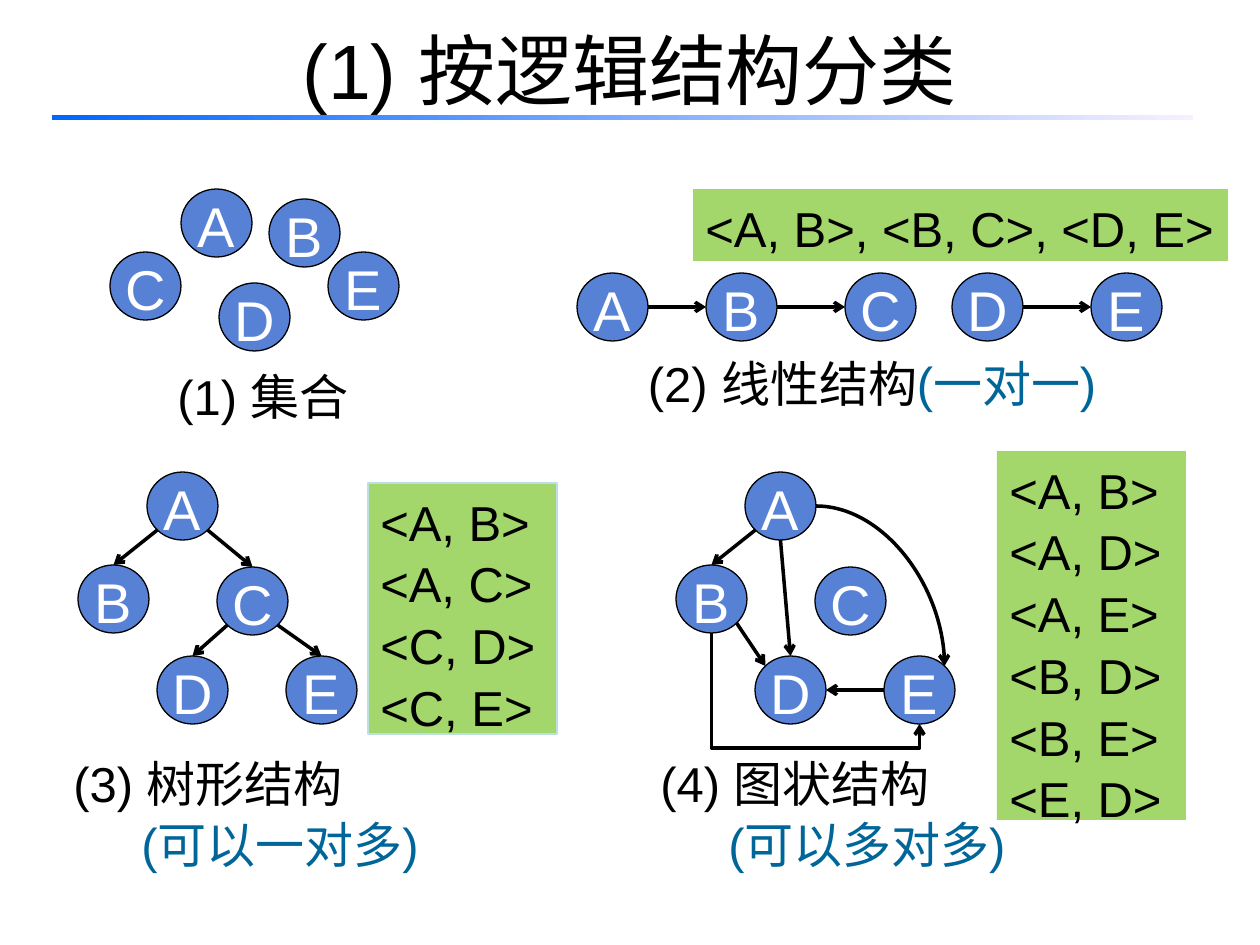
from math import sqrt

from lxml import etree
from pptx import Presentation
from pptx import util as u
from pptx.dml.color import RGBColor
from pptx.enum import shapes, text
from pptx.oxml.ns import qn

PX = 914400 / 126
FONT = "Arial"
COLORS = {
    "ink": "000000", "node": "5781D5", "letter": "FFFFFF", "note": "006699",
    "pairs": "A4D76B", "pairs_edge": "BBE0E3",
    "bar_start": "0066FF", "bar_end": "F7EFFF",
}
NODE_W, NODE_H = 71, 68
DIAGONAL = 1 / sqrt(2)
SIDES = {
    "n": (0, -1), "s": (0, 1), "w": (-1, 0), "e": (1, 0),
    "nw": (-DIAGONAL, -DIAGONAL), "ne": (DIAGONAL, -DIAGONAL),
    "sw": (-DIAGONAL, DIAGONAL), "se": (DIAGONAL, DIAGONAL),
}
# Shared by the tree and the graph, relative to the region's corner
BRANCHES = {"A": (69, 0), "B": (0, 93), "C": (139, 95), "D": (79, 184), "E": (208, 184)}


def px(*lengths):
    return [u.Emu(round(length * PX)) for length in lengths]


def color(name):
    return RGBColor.from_string(COLORS[name])


def write(para, spans, size, align=text.PP_ALIGN.LEFT, spacing=1.05):
    """Fill a paragraph with (wording, colour name) spans."""
    para.alignment = align
    para.line_spacing = spacing
    for wording, ink in spans:
        span = para.add_run()
        span.text = wording
        span.font.name = FONT
        span.font.size = u.Pt(size)
        span.font.color.rgb = color(ink)


def write_lines(frame, lines, align=text.PP_ALIGN.LEFT, indents=()):
    frame.word_wrap = True
    frame.vertical_anchor = text.MSO_ANCHOR.TOP
    for index, spans in enumerate(lines):
        para = frame.paragraphs[0] if index == 0 else frame.add_paragraph()
        if indents:
            properties = para._p.get_or_add_pPr()
            properties.set("marL", str(px(indents[index])[0]))
            properties.set("indent", "0")
        write(para, spans, 28, align)


def add_caption(page, box, lines, align=text.PP_ALIGN.LEFT, indents=()):
    caption = page.shapes.add_textbox(*px(*box))
    write_lines(caption.text_frame, lines, align, indents)


def add_pairs(page, box, pairs, edge=None):
    """Green panel listing the ordered pairs of a structure."""
    panel = page.shapes.add_shape(shapes.MSO_SHAPE.RECTANGLE, *px(*box))
    panel.shadow.inherit = False
    panel.fill.solid()
    panel.fill.fore_color.rgb = color("pairs")
    if edge:
        panel.line.color.rgb = color(edge)
        panel.line.width = u.Pt(0.75)
    else:
        panel.line.fill.background()
    write_lines(panel.text_frame, [[(pair, "ink")] for pair in pairs])


def add_nodes(page, left, top, places):
    nodes = {}
    for letter, (x, y) in places.items():
        node = page.shapes.add_shape(
            shapes.MSO_SHAPE.OVAL, *px(left + x, top + y, NODE_W, NODE_H))
        node.shadow.inherit = False
        node.fill.solid()
        node.fill.fore_color.rgb = color("node")
        node.line.color.rgb = color("ink")
        node.line.width = u.Pt(0.75)
        frame = node.text_frame
        frame.word_wrap = False
        frame.vertical_anchor = text.MSO_ANCHOR.MIDDLE
        write(frame.paragraphs[0], [(letter, "letter")], 32, text.PP_ALIGN.CENTER)
        nodes[letter] = node
    return nodes


def rim(node, side):
    """Point on the edge of a node in a compass direction."""
    dx, dy = SIDES[side]
    return (round(node.left + node.width * (1 + dx) / 2),
            round(node.top + node.height * (1 + dy) / 2))


def add_arrow(page, start, end, kind=shapes.MSO_CONNECTOR.STRAIGHT):
    arrow = page.shapes.add_connector(kind, *start, *end)
    arrow.line.color.rgb = color("ink")
    arrow.line.width = u.Pt(2)
    properties = arrow._element.spPr
    etree.SubElement(properties.find(qn("a:ln")), qn("a:tailEnd"), type="arrow")
    etree.SubElement(properties, qn("a:effectLst"))
    return arrow


def link(page, nodes, links):
    """Draw straight arrows given as (from, side, to, side)."""
    for source, leaving, target, entering in links:
        add_arrow(page, rim(nodes[source], leaving), rim(nodes[target], entering))


def add_curve(page, start, end):
    """Quarter curve that leaves sideways and arrives downwards."""
    curve = add_arrow(page, start, end, shapes.MSO_CONNECTOR.CURVE)
    curve._element.spPr.find(qn("a:prstGeom")).set("prst", "curvedConnector2")


def add_under_loop(page, start, end, drop):
    """Elbow that runs below both ends, rising by drop to the second."""
    across, down = end[0] - start[0], end[1] - start[1]
    left = (start[0] + end[0] - down) // 2
    top = (start[1] + end[1] - across) // 2
    loop = add_arrow(page, (left, top), (left + down, top + across),
                     shapes.MSO_CONNECTOR.ELBOW)
    properties = loop._element.spPr
    frame = properties.find(qn("a:xfrm"))
    frame.set("rot", "16200000")
    frame.set("flipH", "1")
    guides = properties.find(qn("a:prstGeom")).find(qn("a:avLst"))
    bend = round(100000 * (down + drop) / down)
    etree.SubElement(guides, qn("a:gd"), name="adj1", fmla=f"val {bend}")


def add_heading(page, left, top, width, height):
    title = page.shapes.title
    title.left, title.top, title.width, title.height = px(left, top, width, height)
    frame = title.text_frame
    frame.auto_size = text.MSO_AUTO_SIZE.NONE
    frame.vertical_anchor = text.MSO_ANCHOR.MIDDLE
    write(frame.paragraphs[0], [("(1) 按逻辑结构分类", "ink")], 44,
          text.PP_ALIGN.CENTER, 1.0)
    bar = page.shapes.add_shape(
        shapes.MSO_SHAPE.RECTANGLE, *px(left - 11, top + 125, 1141, 5))
    bar.shadow.inherit = False
    bar.line.fill.background()
    bar.fill.gradient()
    bar.fill.gradient_angle = 0
    for stop, name in zip(bar.fill.gradient_stops, ("bar_start", "bar_end")):
        stop.color.rgb = color(name)


def add_set(page, left, top):
    add_nodes(page, left, top, {
        "A": (71, 0), "C": (0, 63), "B": (159, 10), "D": (109, 94), "E": (218, 63)})
    add_caption(page, (left - 15, top + 168, 336, 72), [[("(1) 集合", "ink")]],
                text.PP_ALIGN.CENTER)


def add_linear(page, left, top):
    nodes = add_nodes(page, left, top, {
        letter: (x, 0) for letter, x in zip("ABCDE", (0, 129, 268, 375, 514))})
    link(page, nodes, [(a, "e", b, "w") for a, b in ("AB", "BC", "DE")])
    add_caption(page, (left - 11, top + 71, 612, 72),
                [[("(2) 线性结构", "ink"), ("(一对一)", "note")]], text.PP_ALIGN.CENTER)
    add_pairs(page, (left + 116, top - 84, 535, 72), ["<A, B>, <B, C>, <D, E>"])


def add_tree(page, left, top):
    nodes = add_nodes(page, left, top, BRANCHES)
    link(page, nodes, [("A", "sw", "B", "n"), ("A", "se", "C", "n"),
                       ("C", "sw", "D", "n"), ("C", "se", "E", "n")])
    add_caption(page, (left - 99, top + 272, 525, 131),
                [[("(3) 树形结构", "ink")], [("(可以一对多)", "note")]], indents=(82, 150))
    add_pairs(page, (left + 290, top + 11, 189, 251),
              ["<A, B>", "<A, C>", "<C, D>", "<C, E>"], "pairs_edge")


def add_graph(page, left, top):
    nodes = add_nodes(page, left, top, BRANCHES)
    link(page, nodes, [("A", "sw", "B", "n"), ("A", "s", "D", "n"),
                       ("B", "se", "D", "nw"), ("E", "w", "D", "e")])
    add_curve(page, rim(nodes["A"], "e"), rim(nodes["E"], "ne"))
    add_under_loop(page, rim(nodes["B"], "s"), rim(nodes["E"], "s"), px(24)[0])
    add_caption(page, (left - 69, top + 272, 578, 131),
                [[("(4) 图状结构", "ink")], [("(可以多对多)", "note")]], indents=(41, 109))
    add_pairs(page, (left + 321, top - 21, 189, 369),
              ["<A, B>", "<A, D>", "<A, E>", "<B, D>", "<B, E>", "<E, D>"])


def main():
    deck = Presentation()
    deck.slide_width, deck.slide_height = px(1260, 945)
    page = deck.slides.add_slide(deck.slide_layouts[5])
    add_heading(page, 63, -10, 1134, 158)
    add_set(page, 110, 189)
    add_linear(page, 577, 273)
    add_tree(page, 78, 472)
    add_graph(page, 676, 472)
    deck.save("out.pptx")


if __name__ == "__main__":
    main()
